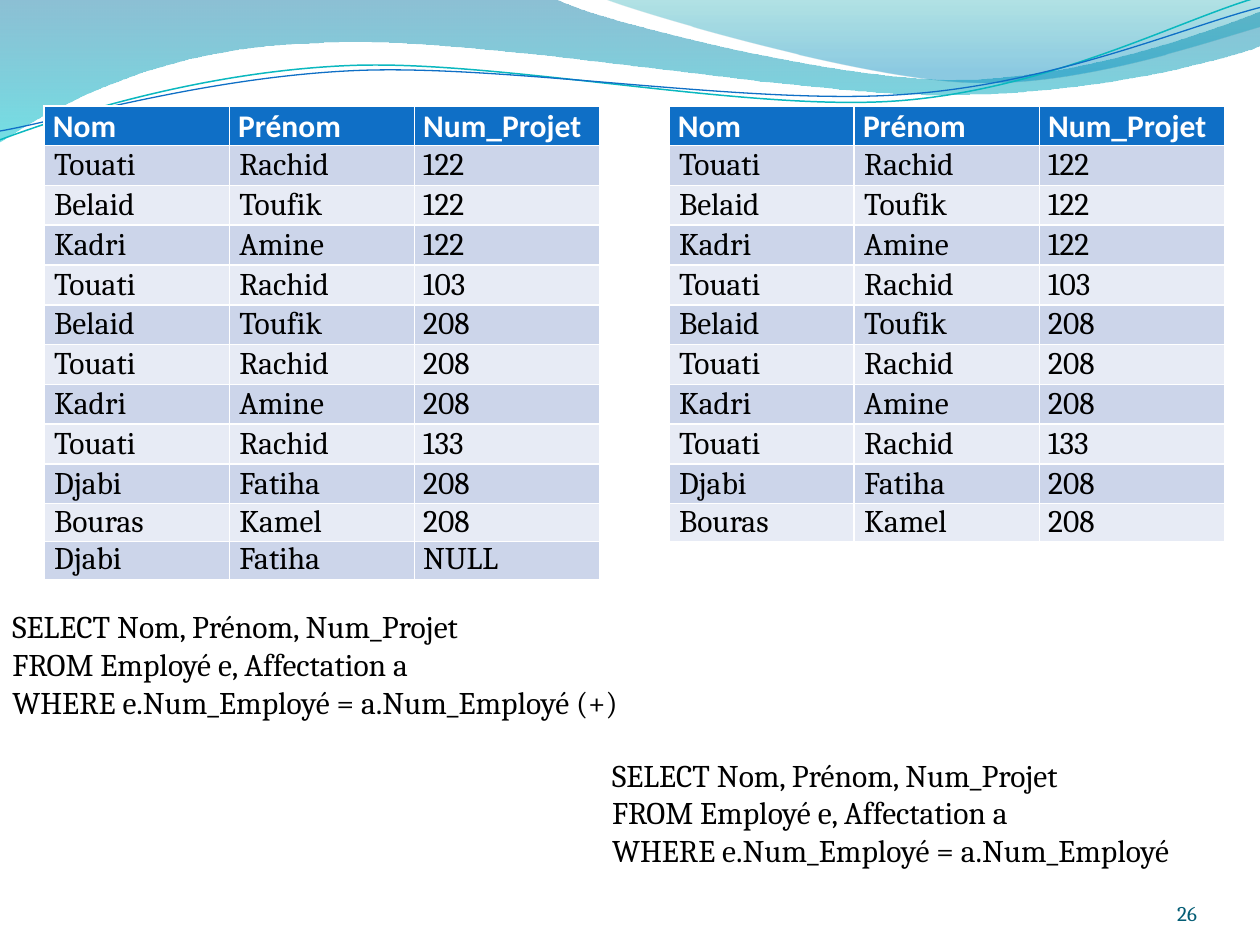
from dataclasses import dataclass
from math import cos, radians, sin
from typing import Optional

from lxml import etree
from pptx import Presentation, util as u
from pptx.dml.color import RGBColor
from pptx.enum import text
from pptx.oxml.ns import qn

WHITE = RGBColor(0xFF, 0xFF, 0xFF)
BLACK = RGBColor(0x00, 0x00, 0x00)
BLUE = RGBColor(0x0F, 0x6F, 0xC6)
TEAL = RGBColor(0x0A, 0xB8, 0xBF)
PAGE_BLUE = RGBColor(0x04, 0x5D, 0x75)
BANDS = (RGBColor(0xCC, 0xD5, 0xEA), RGBColor(0xE7, 0xEB, 0xF5))

SLIDE_W, SLIDE_H = u.Inches(10), u.Inches(7.5)
BODY_FONT, HEAD_FONT = "Cambria", "Calibri"
COLUMN_W = u.Inches(1.47)
LAST_ROW_H = u.Inches(0.3)
ROW_H = u.Inches(3.16) // 10
TABLE_TOP = u.Inches(0.84)
LINE_TILT = -2.7

HEADINGS = ("Nom", "Prénom", "Num_Projet")
ASSIGNED = [
    ("Touati", "Rachid", "122"),
    ("Belaid", "Toufik", "122"),
    ("Kadri", "Amine", "122"),
    ("Touati", "Rachid", "103"),
    ("Belaid", "Toufik", "208"),
    ("Touati", "Rachid", "208"),
    ("Kadri", "Amine", "208"),
    ("Touati", "Rachid", "133"),
    ("Djabi", "Fatiha", "208"),
    ("Bouras", "Kamel", "208"),
]
UNASSIGNED = [("Djabi", "Fatiha", "NULL")]
SELECT_FROM = ["SELECT Nom, Prénom, Num_Projet", "FROM Employé e, Affectation a"]
JOIN = "WHERE e.Num_Employé = a.Num_Employé"


@dataclass
class Stop:
    color: RGBColor
    position: float
    opacity: int


@dataclass
class Wave:
    """Points in inches; a segment is one point (line) or three (Bézier curve)."""
    start: tuple
    segments: list
    stops: Optional[list] = None
    line: Optional[RGBColor] = None
    weight: float = 0
    tilt: float = 0
    center: tuple = (0, 0)


@dataclass
class Query:
    left: float  # left, top, width and height are shares of the slide
    top: float
    width: float
    height: float
    lines: list


WAVES = [
    Wave((0, 0), [
        [(4.4, -0.01)],
        [(4.76, 0.17), (6.64, 0.63), (7.58, 0.63)],
        [(8.53, 0.63), (9.58, 0.26), (10, 0.09)],
        [(10.01, 0.36)],
        [(9.83, 0.44), (8.7, 0.76), (7.46, 0.75)],
        [(6.22, 0.75), (3.82, 0.28), (2.57, 0.34)],
        [(1.29, 0.36), (0.46, 0.83), (-0.01, 1.13)],
        [(0, 0)],
    ], stops=[Stop(RGBColor(0x00, 0x74, 0xA1), 0, 45),
              Stop(RGBColor(0x00, 0xC6, 0xCF), 1, 55)]),
    Wave((4.79, -0.01), [
        [(5.09, 0.11), (6.82, 0.62), (7.69, 0.65)],
        [(8.56, 0.69), (9.61, 0.32), (10, 0.21)],
        [(10, 0)],
        [(4.79, -0.01)],
    ], stops=[Stop(RGBColor(0x00, 0xA1, 0xA9), 0, 30),
              Stop(RGBColor(0x00, 0x8B, 0xBF), 0.8, 45)]),
    Wave((0, 1.11), [
        [(0.48, 0.93), (1.58, 0.57), (2.77, 0.52)],
        [(3.95, 0.47), (5.93, 0.89), (7.13, 0.8)],
        [(8.33, 0.71), (9.38, 0.15), (9.98, -0.02)],
    ], line=TEAL, weight=0.85, tilt=LINE_TILT, center=(4.99, 0.57)),
    Wave((0, 1.04), [
        [(0.47, 0.96), (1.64, 0.61), (2.83, 0.56)],
        [(4.03, 0.51), (5.97, 0.84), (7.17, 0.75)],
        [(8.36, 0.67), (9.41, 0.21), (10, 0.06)],
    ], line=BLUE, weight=0.75, tilt=LINE_TILT, center=(5, 0.59)),
]

QUERIES = [
    Query(0, 0.636, 0.547, 0.175, SELECT_FROM + [JOIN + " (+)"]),
    Query(0.476, 0.793, 0.524, 0.175, SELECT_FROM + [JOIN]),
]


def level(point: tuple, wave: Wave) -> tuple:
    """Undo the wave's tilt, which the shape's rotation then applies."""
    angle = radians(-wave.tilt)
    (cx, cy), (x, y) = wave.center, point
    dx, dy = x - cx, y - cy
    return (u.Inches(cx + dx * cos(angle) - dy * sin(angle)),
            u.Inches(cy + dx * sin(angle) + dy * cos(angle)))


def bend(shape, segments: list) -> None:
    """Join each three line points of a curved segment into one Bézier curve."""
    lines = list(shape.element.spPr.iter(qn("a:lnTo")))
    for segment in segments:
        group, lines = lines[:len(segment)], lines[len(segment):]
        if len(group) == 3:
            curve = etree.Element(qn("a:cubicBezTo"))
            group[0].addprevious(curve)
            for line in group:
                curve.append(line[0])
                line.getparent().remove(line)


def draw_wave(slide, wave: Wave) -> None:
    start, *rest = [level(point, wave) for point in
                    [wave.start] + [p for segment in wave.segments for p in segment]]
    builder = slide.shapes.build_freeform(*start)
    builder.add_line_segments(rest, close=wave.stops is not None)
    shape = builder.convert_to_shape()
    bend(shape, wave.segments)
    shape.rotation = wave.tilt
    shape.shadow.inherit = False
    if wave.stops:
        shape.line.fill.background()
        shape.fill.gradient()
        shape.fill.gradient_angle = 270
        for stop, wanted in zip(shape.fill.gradient_stops, wave.stops):
            stop.color.rgb = wanted.color
            stop.position = wanted.position
        colors = shape.element.spPr.iter(qn("a:srgbClr"))
        for color, wanted in zip(colors, wave.stops):
            etree.SubElement(color, qn("a:alpha"), val=str(wanted.opacity * 1000))
    else:
        shape.fill.background()
        shape.line.color.rgb = wave.line
        shape.line.width = u.Pt(wave.weight)


def style(paragraph, color: RGBColor = BLACK, name: str = BODY_FONT,
          size: float = 18, bold: bool = False) -> None:
    font = paragraph.font
    font.name, font.size, font.bold = name, u.Pt(size), bold
    font.color.rgb = color


def fill_cell(cell, value: str, row: int, column: int) -> None:
    is_head = row == 0
    cell.text = value
    cell.margin_left = cell.margin_right = u.Inches(0.07)
    cell.margin_top = cell.margin_bottom = 0
    cell.fill.solid()
    cell.fill.fore_color.rgb = BLUE if is_head else BANDS[(row - 1) % 2]
    paragraph = cell.text_frame.paragraphs[0]
    paragraph.line_spacing = 1.05 if row < len(ASSIGNED) else 1.0
    if is_head:
        style(paragraph, WHITE, HEAD_FONT, bold=True)
    else:
        style(paragraph)
        if column < 2:
            paragraph._p.get_or_add_pPr().set("marL", str(u.Inches(0.01)))


def draw_table(slide, left: float, people: list) -> None:
    rows = [HEADINGS] + people
    heights = [ROW_H if i < len(ASSIGNED) else LAST_ROW_H for i in range(len(rows))]
    table = slide.shapes.add_table(len(rows), len(HEADINGS), u.Inches(left), TABLE_TOP,
                                   COLUMN_W * len(HEADINGS), sum(heights)).table
    for column in table.columns:
        column.width = COLUMN_W
    for r, values in enumerate(rows):
        table.rows[r].height = heights[r]
        for c, value in enumerate(values):
            fill_cell(table.cell(r, c), value, r, c)


def draw_query(slide, query: Query) -> None:
    frame = slide.shapes.add_textbox(
        int(query.left * SLIDE_W), int(query.top * SLIDE_H),
        int(query.width * SLIDE_W), int(query.height * SLIDE_H)).text_frame
    frame.word_wrap = True
    frame.text = "\n".join(query.lines)
    for paragraph in frame.paragraphs:
        style(paragraph)


def draw_page_number(slide, number: str) -> None:
    frame = slide.shapes.add_textbox(u.Inches(8.67), u.Inches(6.95),
                                     u.Inches(0.83), u.Inches(0.4)).text_frame
    frame.margin_left = frame.margin_right = frame.margin_top = frame.margin_bottom = 0
    frame.vertical_anchor = text.MSO_ANCHOR.BOTTOM
    frame.word_wrap = True
    frame.text = number
    frame.paragraphs[0].alignment = text.PP_ALIGN.RIGHT
    style(frame.paragraphs[0], PAGE_BLUE, size=12)


deck = Presentation()
deck.slide_width, deck.slide_height = SLIDE_W, SLIDE_H
page = deck.slides.add_slide(deck.slide_layouts[6])
for wave_shape in WAVES:
    draw_wave(page, wave_shape)
draw_page_number(page, "26")
draw_table(page, 0.35, ASSIGNED + UNASSIGNED)
draw_table(page, 5.31, ASSIGNED)
for sql in QUERIES:
    draw_query(page, sql)
deck.save("out.pptx")
